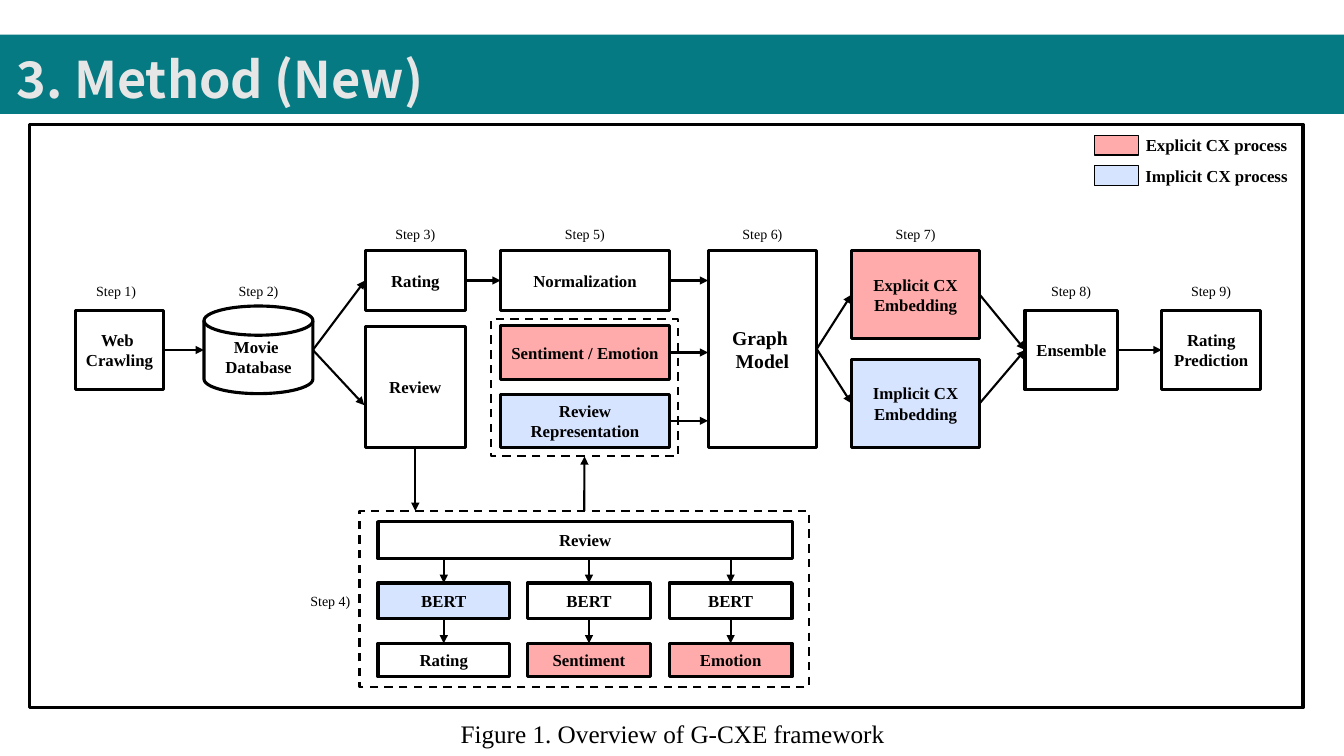
import lxml.etree
import pptx
import pptx.util
import pptx.dml.color
import pptx.enum.dml
import pptx.enum.shapes
import pptx.enum.text
import pptx.oxml.ns

Pt = pptx.util.Pt
RGB = pptx.dml.color.RGBColor
ALIGN = pptx.enum.text.PP_ALIGN
ANCHOR = pptx.enum.text.MSO_ANCHOR
RECT = pptx.enum.shapes.MSO_SHAPE.RECTANGLE
DISK = pptx.enum.shapes.MSO_SHAPE.FLOWCHART_MAGNETIC_DISK
TOP, LEFT, BOTTOM, RIGHT = range(4)

theme = {
    "banner": RGB.from_string("067A82"),
    "title": RGB.from_string("E7E6E6"),
    "ink": RGB.from_string("000000"),
    "explicit": RGB.from_string("FFABAB"),
    "implicit": RGB.from_string("D7E4FF"),
    "title_font": "Noto Sans CJK KR",
    "body_font": "Times New Roman",
    "title_size": 36,
    "caption_size": 18,
    "model_size": 14,
    "label_size": 12,
    "step_size": 10,
    "box_line": 2.25,
    "thin_line": 1.5,
    "key_line": 1,
}

deck = pptx.Presentation()
deck.slide_width, deck.slide_height = Pt(960), Pt(540)
slide = deck.slides.add_slide(deck.slide_layouts[6])


def write(place, text, size="label_size", bold=True, color="ink", font="body_font",
          align=ALIGN.CENTER, anchor=ANCHOR.TOP, spacing=None, inset=7.2):
    is_area = isinstance(place, tuple)
    holder = slide.shapes.add_textbox(*map(Pt, place)) if is_area else place
    frame = holder.text_frame
    frame.word_wrap = True
    frame.vertical_anchor = anchor
    frame.margin_left = frame.margin_right = Pt(inset)
    if is_area:
        frame.auto_size = pptx.enum.text.MSO_AUTO_SIZE.SHAPE_TO_FIT_TEXT
    frame.text = text
    for paragraph in frame.paragraphs:
        paragraph.alignment = align
        paragraph.line_spacing = spacing
        for run in paragraph.runs:
            run.font.name = theme[font]
            run.font.size = Pt(theme[size])
            run.font.bold = bold
            run.font.color.rgb = theme[color]


banner = slide.shapes.add_shape(RECT, Pt(0), Pt(24.7), Pt(960), Pt(56.7))
banner.shadow.inherit = False
banner.fill.solid()
banner.fill.fore_color.rgb = theme["banner"]
banner.line.fill.background()
write((4.8, 12.4, 955.2, 66), "3. Method (New)", size="title_size", color="title",
      font="title_font", align=ALIGN.LEFT, anchor=ANCHOR.MIDDLE, spacing=1.5)

stages = {
    "frame": ("", 21.4, 88.8, 909.4, 416.7, None),
    "crawling": ("Web \nCrawling", 53.8, 221.6, 63.2, 56.8, None),
    "database": ("Movie \nDatabase", 145.7, 218.6, 77.8, 62.6, None),
    "rating": ("Rating", 260.8, 179, 71.8, 42.8, None),
    "review": ("Review", 260.8, 233, 71.8, 86.6, None),
    "normalization": ("Normalization", 357.6, 179, 120.6, 42.8, None),
    "sentiment": ("Sentiment / Emotion", 357.6, 232.6, 120.6, 38.4, "explicit"),
    "representation": ("Review Representation", 357.6, 281.6, 120.6, 38, "implicit"),
    "graph": ("Graph \nModel", 505.8, 179, 77.6, 140.6, None),
    "explicit": ("Explicit CX Embedding", 608.2, 179, 91.6, 63, "explicit"),
    "implicit": ("Implicit CX Embedding", 608.2, 256.6, 91.6, 63, "implicit"),
    "ensemble": ("Ensemble", 732.2, 221.6, 66.2, 56.8, None),
    "prediction": ("Rating\nPrediction", 829.8, 221.6, 70.8, 56.8, None),
    "corpus": ("Review", 270, 372.6, 296, 26.4, None),
    "features": ("", 350.6, 228, 133.8, 98, None),
    "training": ("", 256.8, 365, 321, 125.8, None),
    "explicit key": ("", 781.8, 96.8, 31.4, 14, "explicit"),
    "implicit key": ("", 781.8, 118.4, 31.4, 14, "implicit"),
}

branches = [
    ("Rating", 270, 94, "implicit", None),
    ("Sentiment", 376.8, 87.8, None, "explicit"),
    ("Emotion", 478, 87.8, None, "explicit"),
]
for target, left, width, encoder_fill, target_fill in branches:
    stages["BERT " + target] = ("BERT", left, 416.4, width, 25.4, encoder_fill)
    stages["target " + target] = (target, left, 459.6, width, 23.8, target_fill)

boxes = {}
for stage, (label, left, top, width, height, fill) in stages.items():
    outline = DISK if stage == "database" else RECT
    box = slide.shapes.add_shape(outline, Pt(left), Pt(top), Pt(width), Pt(height))
    box.shadow.inherit = False
    if fill:
        box.fill.solid()
        box.fill.fore_color.rgb = theme[fill]
    else:
        box.fill.background()
    box.line.color.rgb = theme["ink"]
    box.line.width = Pt(theme["box_line"])
    if stage in ("features", "training"):
        box.line.width = Pt(theme["thin_line"])
        box.line.dash_style = pptx.enum.dml.MSO_LINE.DASH
    if stage.endswith("key"):
        box.line.width = Pt(theme["key_line"])
    if label:
        write(box, label, size="model_size" if stage == "graph" else "label_size",
              anchor=ANCHOR.MIDDLE, inset=3.6)
    boxes[stage] = box

arrows = [
    (("crawling", RIGHT), (145.7, 250)),
    ((223.5, 250), ("rating", LEFT)),
    ((223.5, 250), (260.2, 289.4)),
    (("rating", RIGHT), ("normalization", LEFT)),
    (("review", BOTTOM), (296.7, 365)),
    (("training", TOP), ("features", BOTTOM)),
    (("normalization", RIGHT), (505.8, 200.4)),
    (("sentiment", RIGHT), (505.8, 251.8)),
    (("representation", RIGHT), (505.8, 300.6)),
    (("graph", RIGHT), ("explicit", LEFT)),
    (("graph", RIGHT), ("implicit", LEFT)),
    (("explicit", RIGHT), ("ensemble", LEFT)),
    (("implicit", RIGHT), ("ensemble", LEFT)),
    (("ensemble", RIGHT), ("prediction", LEFT)),
]
for target, left, width, *fills in branches:
    arrows.append(((left + width / 2, 399), ("BERT " + target, TOP)))
    arrows.append((("BERT " + target, BOTTOM), ("target " + target, TOP)))

for start, end in arrows:
    points = [(0, 0) if isinstance(point[0], str) else point for point in (start, end)]
    arrow = slide.shapes.add_connector(pptx.enum.shapes.MSO_CONNECTOR.STRAIGHT,
                                       *(Pt(value) for point in points for value in point))
    if isinstance(start[0], str):
        arrow.begin_connect(boxes[start[0]], start[1])
    if isinstance(end[0], str):
        arrow.end_connect(boxes[end[0]], end[1])
    arrow.line.color.rgb = theme["ink"]
    arrow.line.width = Pt(theme["thin_line"])
    properties = arrow._element.spPr
    stroke = properties.find(pptx.oxml.ns.qn("a:ln"))
    lxml.etree.SubElement(stroke, pptx.oxml.ns.qn("a:tailEnd"), type="triangle")
    lxml.etree.SubElement(properties, pptx.oxml.ns.qn("a:effectLst"))

for label, top in (("Explicit CX process", 93), ("Implicit CX process", 114.6)):
    write((809.2, top, 119.6, 21.6), label)

step_spots = [(59, 198), (160.6, 198), (272.6, 157.4), (212, 419.4), (393.8, 157.4),
              (520.6, 157.4), (630, 157.4), (741, 198), (841, 198)]
for number, (left, top) in enumerate(step_spots, 1):
    write((left, top, 48, 19.4), f"Step {number})", size="step_size", bold=False)

write((294.4, 509.8, 372, 29), "Figure 1. Overview of G-CXE framework",
      size="caption_size", bold=False)

deck.save("out.pptx")
